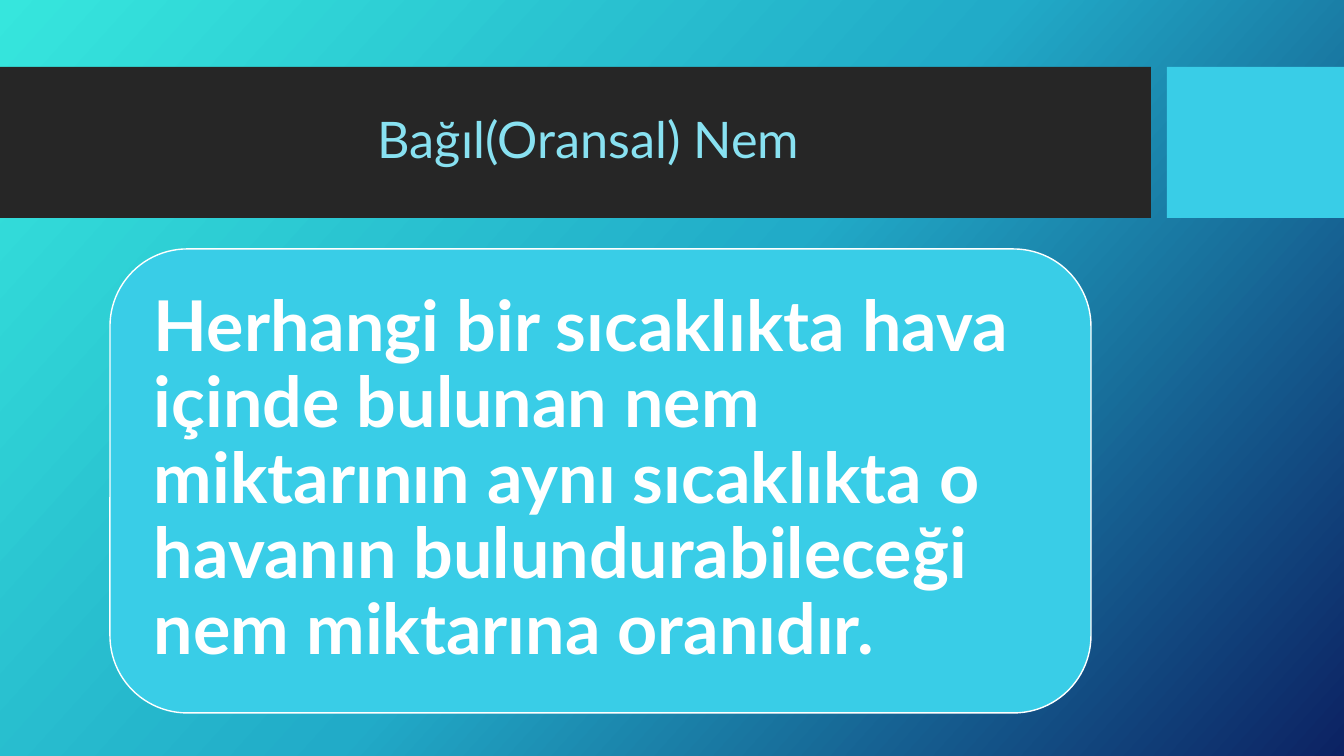
from copy import deepcopy

from pptx import Presentation
from pptx.dml.color import RGBColor
from pptx.enum.shapes import MSO_SHAPE
from pptx.enum.text import MSO_ANCHOR, MSO_AUTO_SIZE, PP_ALIGN
from pptx.oxml.ns import qn
from pptx.util import Pt

SCALE = 914400 / 100.8  # EMU in one px


def px(num):
    return round(num * SCALE)


def color(code):
    return RGBColor.from_string(code)


def write(frame, text, size, ink, bold=False, align=PP_ALIGN.LEFT, inset=None):
    frame.word_wrap = True
    frame.auto_size = MSO_AUTO_SIZE.NONE
    frame.vertical_anchor = MSO_ANCHOR.MIDDLE
    if inset is not None:
        frame.margin_left = frame.margin_right = px(inset)
        frame.margin_top = frame.margin_bottom = px(inset)
    para = frame.paragraphs[0]
    para.alignment = align
    para.line_spacing = 0.9
    run = para.add_run()
    run.text = text
    font = run.font
    font.name, font.size, font.bold = Deck.face, Pt(size), bold
    font.color.rgb = color(ink)


class Deck:
    face = "Lato"
    dark, cyan, pale, white = "262626", "39CDE7", "88E1F1", "FFFFFF"

    def __init__(self, slide):
        self.slide = slide

    def backdrop(self, stops, angle):
        fill = self.slide.background.fill
        fill.gradient()
        fill.gradient_angle = 360 - angle
        group = self.slide.element.find(".//" + qn("a:gsLst"))
        for _ in range(len(stops) - len(group)):
            group.append(deepcopy(group[-1]))
        for stop, (place, code) in zip(fill.gradient_stops, stops):
            stop.position = place
            stop.color.rgb = color(code)

    def block(self, box, fill, kind=MSO_SHAPE.RECTANGLE, line=None):
        shape = self.slide.shapes.add_shape(kind, *map(px, box))
        shape.shadow.inherit = False
        shape.fill.solid()
        shape.fill.fore_color.rgb = color(fill)
        if line:
            shape.line.color.rgb = color(line)
            shape.line.width = Pt(1)
        else:
            shape.line.fill.background()

    def title(self, box, text, **style):
        shape = self.slide.shapes.title
        shape.left, shape.top, shape.width, shape.height = map(px, box)
        # Bring the title in front of the bars
        shape.element.getparent().append(shape.element)
        write(shape.text_frame, text, **style)

    def label(self, box, text, **style):
        shape = self.slide.shapes.add_textbox(*map(px, box))
        write(shape.text_frame, text, **style)


def main():
    prs = Presentation()
    prs.slide_width, prs.slide_height = px(1344), px(756)
    deck = Deck(prs.slides.add_slide(prs.slide_layouts[5]))

    # Background
    deck.backdrop([(0, "36E6DD"), (0.5, "21ABC8"), (1, "0C2263")], angle=42)

    # Title band
    deck.block((0, 67, 1151, 151), deck.dark)
    deck.block((1167, 67, 177, 151), deck.cyan)
    deck.title((75, 83, 1059, 119), "Bağıl(Oransal) Nem\t",
               size=36, ink=deck.pale, align=PP_ALIGN.CENTER)

    # Definition card
    deck.block((110, 249, 981, 464), deck.cyan,
               kind=MSO_SHAPE.ROUNDED_RECTANGLE, line=deck.white)
    deck.label((133, 271, 935, 419),
               "Herhangi bir sıcaklıkta hava içinde bulunan nem miktarının "
               "aynı sıcaklıkta o havanın bulundurabileceği nem miktarına "
               "oranıdır.",
               size=50, ink=deck.white, bold=True, inset=21)

    prs.save("out.pptx")


if __name__ == "__main__":
    main()
